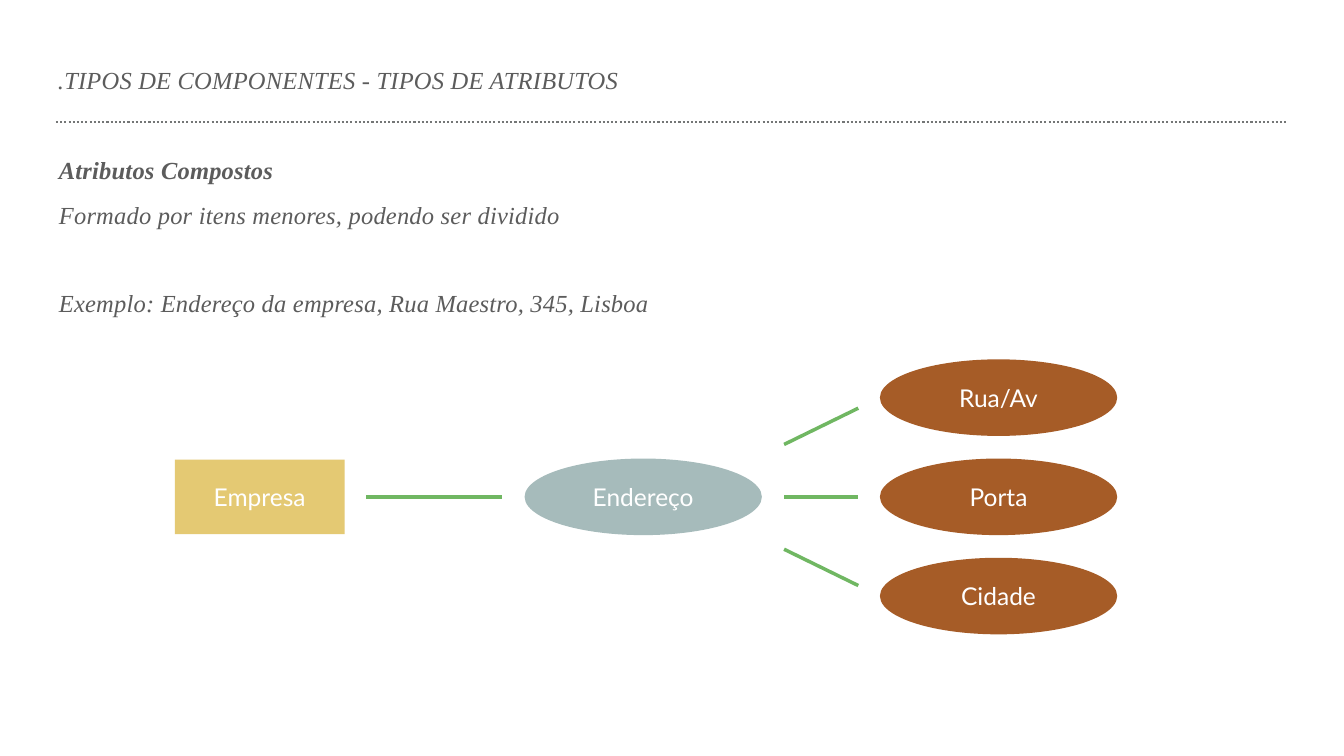
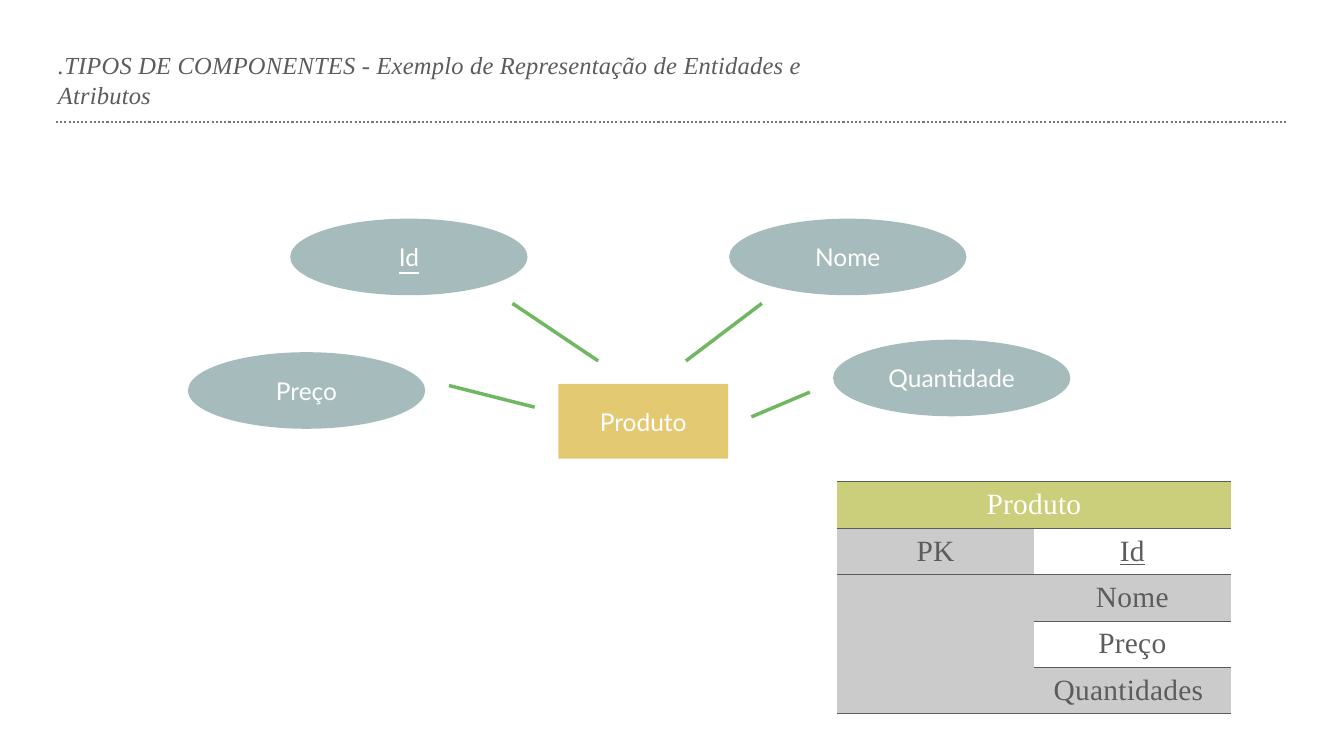
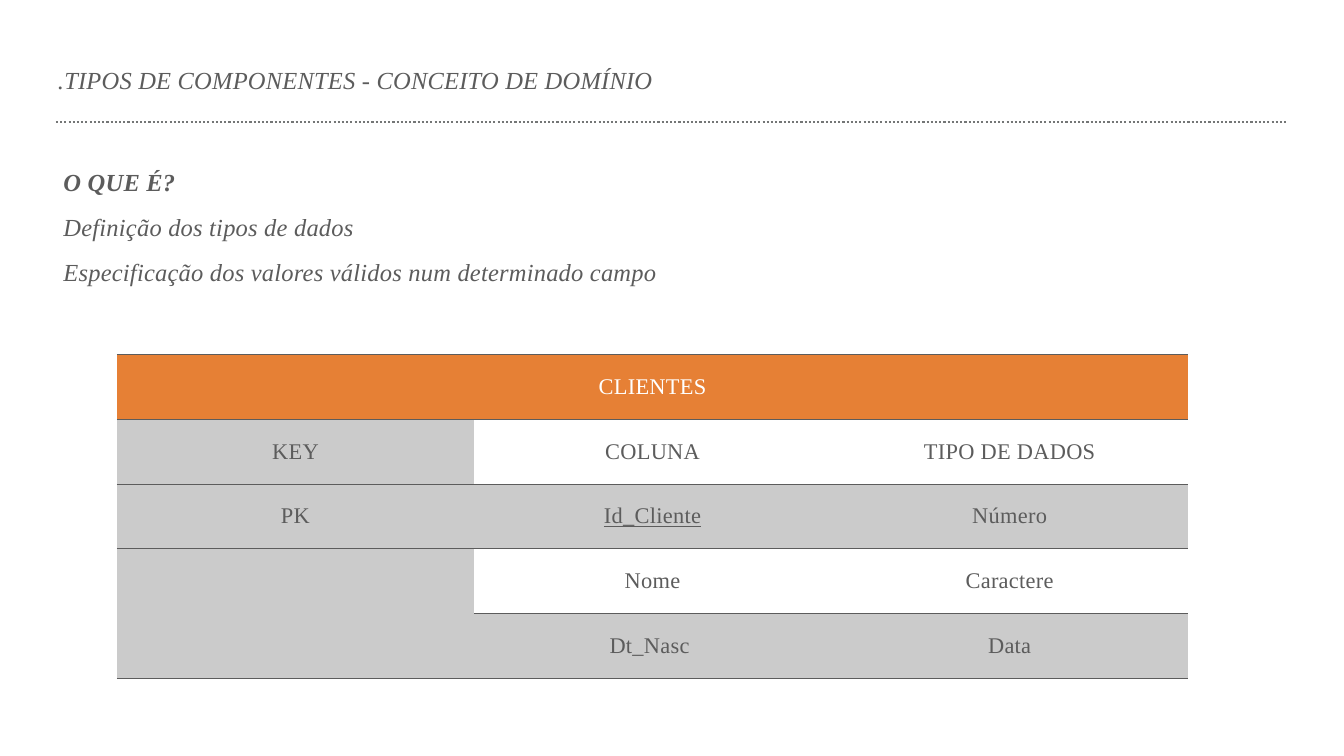
import pptx
import pptx.util
import pptx.dml.color
import pptx.enum.dml
import pptx.enum.shapes
import pptx.enum.text
import pptx.oxml.ns
from lxml import etree

Cm, Pt = pptx.util.Cm, pptx.util.Pt
ALIGN = pptx.enum.text.PP_ALIGN
SHAPE = pptx.enum.shapes.MSO_SHAPE
qn = pptx.oxml.ns.qn

COLORS = {
    "text": "5C5C5C", "rule": "747676", "white": "FFFFFF", "link": "70B762",
    "entity": "E4C973", "attribute": "A6BBBB", "part": "A65C27",
    "product": "CBCE7A", "clients": "E68035", "grey": "CBCBCB",
}
SERIF, SANS = "Times New Roman", "Lato"
INSET = Cm(0.15)


def rgb(name):
    return pptx.dml.color.RGBColor.from_string(COLORS[name])


class Deck:
    ENTITY_SIZE = (8.56, 3.76)
    ATTRIBUTE_SIZE = (11.96, 3.86)

    def __init__(self):
        self.prs = pptx.Presentation()
        self.prs.slide_width, self.prs.slide_height = Cm(67.74), Cm(38.1)
        self.s = None

    def style(self, p, font, size, color, align=ALIGN.LEFT, spacing=0,
              bold=False, italic=False, underline=False):
        p.alignment = align
        f = p.font
        f.name, f.size, f.color.rgb = font, Pt(size), rgb(color)
        f.bold, f.italic, f.underline = bold, italic, underline
        if spacing:
            p._p.pPr.find(qn("a:defRPr")).set("spc", str(spacing))

    def frame(self, tf):
        """Apply the shared insets, wrapping and middle anchor."""
        tf.auto_size = pptx.enum.text.MSO_AUTO_SIZE.NONE
        tf.word_wrap = True
        tf.vertical_anchor = pptx.enum.text.MSO_ANCHOR.MIDDLE
        tf.margin_left = tf.margin_right = INSET
        tf.margin_top = tf.margin_bottom = INSET

    def slide(self, title, title_width):
        """Start a slide with its title and the dotted rule below it."""
        self.s = self.prs.slides.add_slide(self.prs.slide_layouts[5])
        sp = self.s.shapes.title
        sp.left, sp.top = Cm(2.77), Cm(3.02)
        sp.width, sp.height = Cm(title_width), Cm(1.98)
        sp.text_frame.text = title
        self.frame(sp.text_frame)
        p = sp.text_frame.paragraphs[0]
        self.style(p, SERIF, 35, "text", spacing=30, italic=True)
        self.line((2.82, 6.17), (64.92, 6.17), "rule", 3,
                  pptx.enum.dml.MSO_LINE.ROUND_DOT)

    def line(self, start, end, color="link", width=5, dash=None):
        cx = self.s.shapes.add_connector(
            pptx.enum.shapes.MSO_CONNECTOR.STRAIGHT,
            *(Cm(v) for v in start + end))
        cx.line.color.rgb, cx.line.width = rgb(color), Pt(width)
        if dash:
            cx.line.dash_style = dash
        etree.SubElement(cx._element.spPr, qn("a:effectLst"))

    def body(self, left, top, height, paragraphs):
        """Add a text block of (text, points before); the first is bold."""
        sp = self.s.shapes.add_textbox(Cm(left), Cm(top), Cm(58.45), Cm(height))
        tf = sp.text_frame
        self.frame(tf)
        for i, (text, before) in enumerate(paragraphs):
            p = tf.add_paragraph() if i else tf.paragraphs[0]
            p.text, p.space_before = text, Pt(before)
            self.style(p, SERIF, 35, "text", spacing=30,
                       bold=i == 0, italic=True)

    def node(self, shape, size, left, top, text, color, underline=False):
        sp = self.s.shapes.add_shape(shape, Cm(left), Cm(top),
                                     *(Cm(v) for v in size))
        sp.shadow.inherit = False
        sp.fill.solid()
        sp.fill.fore_color.rgb = rgb(color)
        sp.line.fill.background()
        self.frame(sp.text_frame)
        p = sp.text_frame.paragraphs[0]
        p.text = text
        self.style(p, SANS, 35, "white", ALIGN.CENTER, underline=underline)

    def entity(self, left, top, text):
        self.node(SHAPE.RECTANGLE, self.ENTITY_SIZE, left, top, text, "entity")

    def attribute(self, left, top, text, color="attribute", key=False):
        self.node(SHAPE.OVAL, self.ATTRIBUTE_SIZE, left, top, text, color, key)

    def border(self, cell, side, visible):
        ln = etree.SubElement(cell._tc.get_or_add_tcPr(), qn(f"a:ln{side}"))
        if visible:
            ln.set("w", str(Pt(1)))
            fill = etree.SubElement(ln, qn("a:solidFill"))
            etree.SubElement(fill, qn("a:srgbClr"), val=COLORS["text"])
        else:
            etree.SubElement(ln, qn("a:noFill"))

    def fill_cell(self, cell, color, opacity=100):
        cell.fill.solid()
        cell.fill.fore_color.rgb = rgb(color)
        if opacity < 100:
            clr = cell._tc.tcPr.find(".//" + qn("a:srgbClr"))
            etree.SubElement(clr, qn("a:alpha"), val=str(opacity * 1000))

    def table(self, box, header, rows, color, size, key):
        """Add a table; the blank end of its first column becomes one cell."""
        data = [[header] + [""] * (len(rows[0]) - 1)] + rows
        last, columns = len(data) - 1, len(rows[0])
        tbl = self.s.shapes.add_table(len(data), columns,
                                      *(Cm(v) for v in box)).table
        tbl.first_row = tbl.horz_banding = False
        tbl.cell(0, 0).merge(tbl.cell(0, columns - 1))
        first_blank = next(r for r, row in enumerate(data) if not row[0])
        tbl.cell(first_blank, 0).merge(tbl.cell(last, 0))
        for r, row in enumerate(data):
            for c, text in enumerate(row):
                cell = tbl.cell(r, c)
                outer = r == 0 or not cell.is_spanned
                self.border(cell, "L", False)
                self.border(cell, "R", False)
                self.border(cell, "T", outer)
                self.border(cell, "B", outer or r == last)
                if r == 0:
                    self.fill_cell(cell, color)
                elif c == 0:
                    self.fill_cell(cell, "grey", 36)
                elif r % 2 == 0:
                    self.fill_cell(cell, "grey", 25)
                else:
                    cell.fill.background()
                cell.vertical_anchor = pptx.enum.text.MSO_ANCHOR.MIDDLE
                cell.margin_left = cell.margin_right = INSET
                cell.margin_top = cell.margin_bottom = INSET
                if text:
                    p = cell.text_frame.paragraphs[0]
                    p.text = text
                    self.style(p, SERIF, size, "text" if r else "white",
                               ALIGN.CENTER, 40, underline=text == key)


def composite_attributes(deck):
    deck.slide(".TIPOS DE COMPONENTES - TIPOS DE ATRIBUTOS", 28.83)
    deck.body(2.82, 7.34, 9.17, [
        ("Atributos Compostos", 0),
        ("Formado por itens menores, podendo ser dividido", 22),
        ("Exemplo: Endereço da empresa, Rua Maestro, 345, Lisboa", 84),
    ])
    middle = 25.04
    deck.entity(8.81, 23.16, "Empresa")
    deck.attribute(26.44, 23.11, "Endereço")
    deck.line((18.47, middle), (25.32, middle))
    for step, part in zip((-1, 0, 1), ("Rua/Av", "Porta", "Cidade")):
        deck.attribute(44.35, 23.11 + 5 * step, part, "part")
        deck.line((39.52, middle + 2.64 * step), (43.26, middle + 4.47 * step))


def entity_example(deck):
    deck.slide(".TIPOS DE COMPONENTES - Exemplo de Representação de "
               "Entidades e Atributos", 41.83)
    deck.entity(28.14, 19.35, "Produto")
    for left, top, name, start, end in (
        (14.63, 11.02, "Id", (25.83, 15.29), (30.15, 18.19)),
        (36.75, 11.02, "Nome", (38.4, 15.29), (34.57, 18.19)),
        (41.99, 17.12, "Quantidade", (37.87, 21.01), (40.82, 19.76)),
        (9.47, 17.75, "Preço", (22.63, 19.43), (26.95, 20.52)),
    ):
        deck.attribute(left, top, name, key=name == "Id")
        deck.line(start, end)
    deck.table((42.19, 24.28, 19.84, 11.68), "Produto", [
        ["PK", "Id"], ["", "Nome"], ["", "Preço"], ["", "Quantidades "],
    ], "product", 42, "Id")


def domain_concept(deck):
    deck.slide(".TIPOS DE COMPONENTES - CONCEITO DE DOMÍNIO", 30.6)
    deck.body(3.05, 8.05, 6.78, [
        ("O QUE É?", 0),
        ("Definição dos tipos de dados", 22),
        ("Especificação dos valores válidos num determinado campo", 22),
    ])
    deck.table((5.89, 17.88, 54, 16.28), "CLIENTES", [
        ["KEY", "COLUNA", "TIPO DE DADOS"],
        ["PK", "Id_Cliente", "Número"],
        ["", "Nome", "Caractere"],
        ["", "Dt_Nasc ", "Data"],
    ], "clients", 32, "Id_Cliente")


def main():
    deck = Deck()
    composite_attributes(deck)
    entity_example(deck)
    domain_concept(deck)
    deck.prs.save("out.pptx")


if __name__ == "__main__":
    main()
